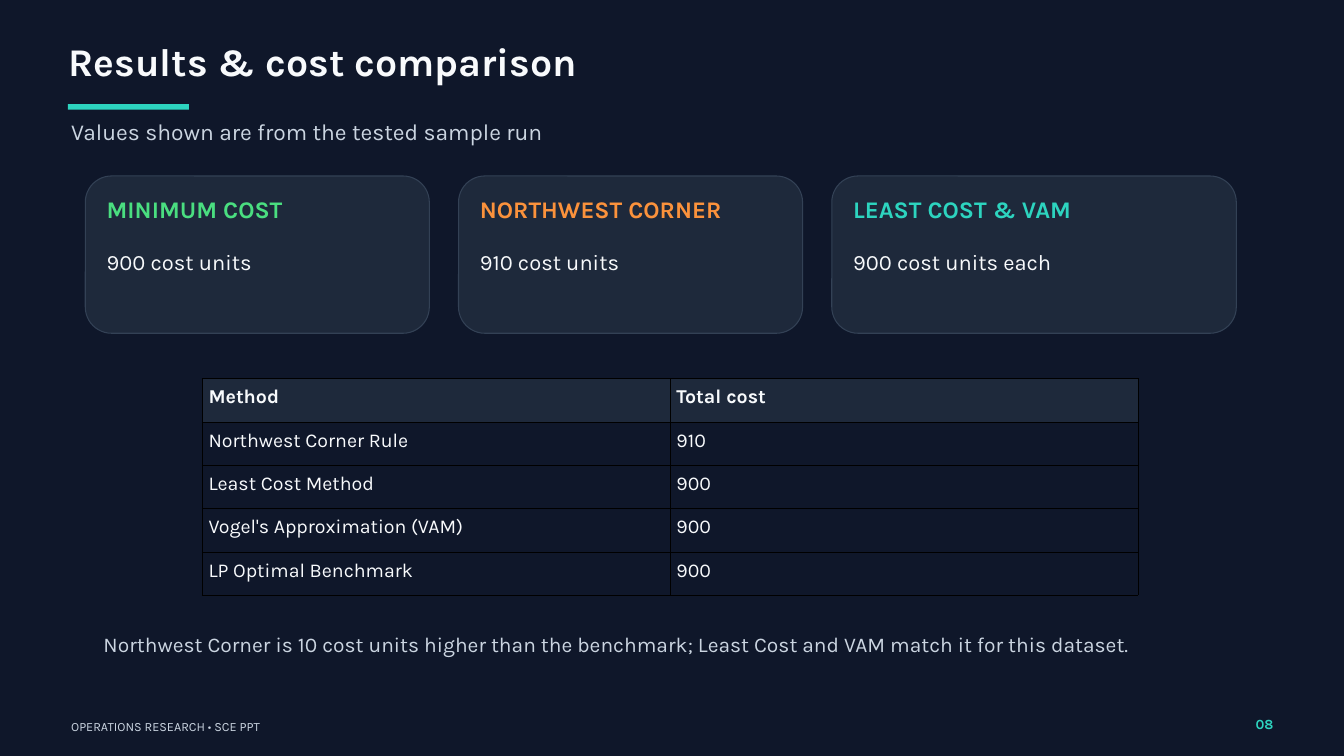
from dataclasses import dataclass

from lxml import etree
from pptx import Presentation
from pptx.dml.color import RGBColor
from pptx.enum.shapes import MSO_SHAPE
from pptx.enum.text import PP_ALIGN
from pptx.oxml.ns import qn
from pptx.util import Pt

RECTANGLE = MSO_SHAPE.RECTANGLE
ROUNDED = MSO_SHAPE.ROUNDED_RECTANGLE
LEFT, RIGHT = PP_ALIGN.LEFT, PP_ALIGN.RIGHT


@dataclass(frozen=True)
class Theme:
    font: str = "Karla"
    line_spacing: float = 1.2
    # Colours
    background: str = "0F172A"
    panel: str = "1E293B"
    outline: str = "334155"
    border: str = "000000"
    bright: str = "F8FAFC"
    muted: str = "CBD5E1"
    teal: str = "2DD4BF"
    green: str = "4ADE80"
    orange: str = "FB923C"
    # Type sizes
    title: float = 42
    subtitle: float = 24.5
    card_title: float = 25.5
    card_body: float = 23.5
    cell: float = 21
    note: float = 22.5
    footer: float = 13.5
    page_number: float = 15


@dataclass(frozen=True)
class Area:
    left: float
    top: float
    width: float
    height: float

    def lengths(self):
        return Pt(self.left), Pt(self.top), Pt(self.width), Pt(self.height)


@dataclass(frozen=True)
class Style:
    size: float
    color: str
    bold: bool = False
    align: PP_ALIGN = LEFT


@dataclass(frozen=True)
class Label:
    text: str
    area: Area
    style: Style


@dataclass(frozen=True)
class Card:
    title: str
    body: str
    color: str
    width: float


THEME = Theme()

# Content
LABELS = [
    Label("Results & cost comparison", Area(73.4, 39.6, 1291, 57),
          Style(THEME.title, THEME.bright, True)),
    Label("Values shown are from the tested sample run", Area(76.3, 126, 1291, 29.5),
          Style(THEME.subtitle, THEME.muted)),
    Label("Northwest Corner is 10 cost units higher than the benchmark; "
          "Least Cost and VAM match it for this dataset.",
          Area(110.9, 676.8, 1237, 51), Style(THEME.note, THEME.muted)),
    Label("OPERATIONS RESEARCH • SCE PPT", Area(76.3, 770.4, 913, 16.5),
          Style(THEME.footer, THEME.muted)),
    Label("08", Area(1316.2, 766.8, 48.2, 24.5),
          Style(THEME.page_number, THEME.teal, True, RIGHT)),
]
CARDS = [
    Card("MINIMUM COST", "900 cost units", THEME.green, 368.6),
    Card("NORTHWEST CORNER", "910 cost units", THEME.orange, 368.6),
    Card("LEAST COST & VAM", "900 cost units each", THEME.teal, 433.4),
]
COSTS = [
    ("Method", "Total cost"),
    ("Northwest Corner Rule", "910"),
    ("Least Cost Method", "900"),
    ("Vogel's Approximation (VAM)", "900"),
    ("LP Optimal Benchmark", "900"),
]

# Layout
ACCENT = Area(72.7, 111.6, 129.6, 5.8)
CARD_LEFT, CARD_TOP, CARD_HEIGHT, CARD_GAP = 91.4, 188.6, 168.5, 31.3
CARD_PADDING, CARD_TITLE_TOP, CARD_BODY_TOP = 22.8, 208.1, 266.4
TABLE = Area(216.2, 405.4, 1002.8, 232.5)
CELL_MARGIN = 7.2
BORDER_WIDTH = 0.37


def rgb(value: str) -> RGBColor:
    return RGBColor.from_string(value)


def format_text(frame, text: str, style: Style) -> None:
    frame.text = text
    para = frame.paragraphs[0]
    para.alignment = style.align
    para.line_spacing = Pt(style.size * THEME.line_spacing)
    for span in para.runs:
        span.font.name = THEME.font
        span.font.size = Pt(style.size)
        span.font.bold = style.bold
        span.font.color.rgb = rgb(style.color)


def set_margins(target, margin: float) -> None:
    target.margin_left = target.margin_right = Pt(margin)
    target.margin_top = target.margin_bottom = Pt(margin)


def add_label(page, label: Label) -> None:
    box = page.shapes.add_textbox(*label.area.lengths())
    frame = box.text_frame
    frame.word_wrap = True
    set_margins(frame, 0)
    format_text(frame, label.text, label.style)


def add_panel(page, kind, area: Area, fill: str, outline: str | None = None) -> None:
    panel = page.shapes.add_shape(kind, *area.lengths())
    panel.shadow.inherit = False
    panel.fill.solid()
    panel.fill.fore_color.rgb = rgb(fill)
    if outline:
        panel.line.color.rgb = rgb(outline)
        panel.line.width = Pt(1.13)
    else:
        panel.line.fill.background()


def add_card(page, card: Card, left: float) -> None:
    add_panel(page, ROUNDED, Area(left, CARD_TOP, card.width, CARD_HEIGHT),
              THEME.panel, THEME.outline)
    text_left = left + CARD_PADDING
    text_width = card.width - 2 * CARD_PADDING
    add_label(page, Label(card.title, Area(text_left, CARD_TITLE_TOP, text_width, 42.5),
                          Style(THEME.card_title, card.color, True)))
    add_label(page, Label(card.body, Area(text_left, CARD_BODY_TOP, text_width, 28.2),
                          Style(THEME.card_body, THEME.bright)))


def add_borders(cell) -> None:
    properties = cell._tc.get_or_add_tcPr()
    for side in ("a:lnL", "a:lnR", "a:lnT", "a:lnB"):
        line = etree.SubElement(properties, qn(side), w=str(Pt(BORDER_WIDTH)))
        fill = etree.SubElement(line, qn("a:solidFill"))
        etree.SubElement(fill, qn("a:srgbClr"), val=THEME.border)


def add_cost_table(page) -> None:
    table = page.shapes.add_table(len(COSTS), len(COSTS[0]), *TABLE.lengths()).table
    for row_index, values in enumerate(COSTS):
        header = row_index == 0
        for column_index, text in enumerate(values):
            cell = table.cell(row_index, column_index)
            set_margins(cell, CELL_MARGIN)
            add_borders(cell)
            cell.fill.solid()
            cell.fill.fore_color.rgb = rgb(THEME.panel if header else THEME.background)
            format_text(cell.text_frame, text, Style(THEME.cell, THEME.bright, header))


def main() -> None:
    deck = Presentation()
    deck.slide_width, deck.slide_height = Pt(1440), Pt(810)
    page = deck.slides.add_slide(deck.slide_layouts[6])
    page.background.fill.solid()
    page.background.fill.fore_color.rgb = rgb(THEME.background)

    # Headings, note and footer
    for label in LABELS:
        add_label(page, label)
    add_panel(page, RECTANGLE, ACCENT, THEME.teal)

    # Result cards
    left = CARD_LEFT
    for card in CARDS:
        add_card(page, card, left)
        left += card.width + CARD_GAP

    # Cost table
    add_cost_table(page)
    deck.save("out.pptx")


if __name__ == "__main__":
    main()
